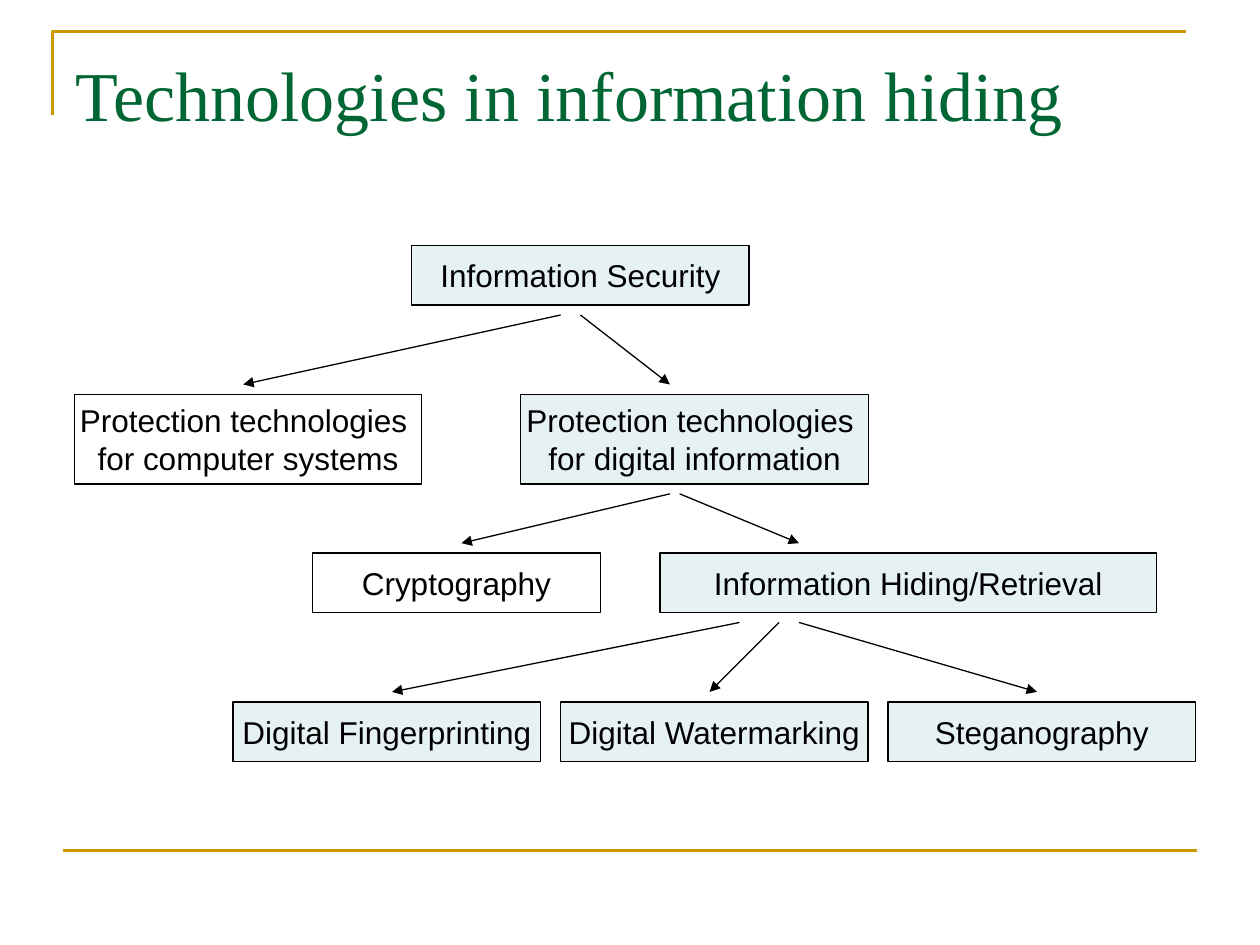
"""Build a slide with a tree of information hiding technologies."""
from dataclasses import dataclass

from lxml.etree import SubElement
from pptx import Presentation
from pptx.dml.color import RGBColor
from pptx.enum.shapes import MSO_CONNECTOR as Connector, MSO_SHAPE as Shape
from pptx.enum.text import MSO_ANCHOR as Anchor, MSO_AUTO_SIZE as AutoSize, PP_ALIGN as Align
from pptx.oxml.ns import qn
from pptx.slide import Slide
from pptx.util import Pt

GOLD = RGBColor(0xCC, 0x99, 0x00)
GREEN = RGBColor(0x00, 0x66, 0x33)
BLACK = RGBColor(0x00, 0x00, 0x00)
PALE_BLUE = RGBColor(0xE5, 0xF1, 0xF3)

ARROW_GAP = 5.7


@dataclass(frozen=True)
class Level:
    top: float
    height: float

    @property
    def bottom(self) -> float:
        return self.top + self.height


@dataclass(frozen=True)
class Topic:
    label: str
    level: int
    left: float
    width: float
    highlighted: bool = True


@dataclass(frozen=True)
class Branch:
    level: int
    start_x: float
    end_x: float


LEVELS = [Level(140.4, 33.9), Level(225.4, 51.1), Level(316.1, 33.9), Level(401.1, 33.9)]

LEAF_LABELS = ["Digital Fingerprinting", "Digital Watermarking", "Steganography"]
LEAF_LEFT, LEAF_WIDTH, LEAF_STEP = 133.2, 175.8, 187.1

TOPICS = [
    Topic("Information Security", 0, 235.3, 192.8),
    Topic("Protection technologies \nfor computer systems", 1, 42.5, 198.6, False),
    Topic("Protection technologies \nfor digital information", 1, 297.6, 198.6),
    Topic("Cryptography", 2, 178.6, 164.4, False),
    Topic("Information Hiding/Retrieval", 2, 377.2, 283.5),
] + [
    Topic(label, 3, LEAF_LEFT + column * LEAF_STEP, LEAF_WIDTH)
    for column, label in enumerate(LEAF_LABELS)
]

BRANCHES = [
    Branch(0, 331.7, 382.8),
    Branch(0, 320.4, 139),
    Branch(1, 382.8, 263.7),
    Branch(1, 388.4, 456.6),
    Branch(2, 422.6, 224),
    Branch(2, 445.2, 405.5),
    Branch(2, 456.6, 592.6),
]


def draw_title(slide: Slide, wording: str) -> None:
    title = slide.shapes.title
    title.left, title.top, title.width, title.height = Pt(36), Pt(21.6), Pt(648), Pt(90)
    frame = title.text_frame
    frame.text = wording
    frame.auto_size = AutoSize.NONE
    frame.vertical_anchor = Anchor.TOP
    frame.margin_top = Pt(8)
    heading = frame.paragraphs[0]
    heading.alignment = Align.LEFT
    heading.font.name = "Times New Roman"
    heading.font.size = Pt(40)
    heading.font.color.rgb = GREEN


def draw_line(slide: Slide, start: tuple[float, float], end: tuple[float, float],
              color: RGBColor, weight: float, arrow: bool = False) -> None:
    line = slide.shapes.add_connector(Connector.STRAIGHT, *map(Pt, start + end))
    line.line.color.rgb = color
    line.line.width = Pt(weight)
    if arrow:
        SubElement(line.line._get_or_add_ln(), qn("a:tailEnd"), type="triangle")
    SubElement(line._element.spPr, qn("a:effectLst"))


def draw_frame(slide: Slide) -> None:
    builder = slide.shapes.build_freeform(Pt(30), Pt(66))
    builder.add_line_segments([(Pt(30), Pt(18)), (Pt(678), Pt(18))], close=False)
    corner = builder.convert_to_shape()
    corner.shadow.inherit = False
    corner.fill.background()
    corner.line.color.rgb = GOLD
    corner.line.width = Pt(1.5)
    draw_line(slide, (36, 486), (684, 486), GOLD, 1.5)


def draw_topic(slide: Slide, topic: Topic) -> None:
    level = LEVELS[topic.level]
    box = slide.shapes.add_shape(Shape.RECTANGLE, Pt(topic.left), Pt(level.top),
                                 Pt(topic.width), Pt(level.height))
    box.shadow.inherit = False
    if topic.highlighted:
        box.fill.solid()
        box.fill.fore_color.rgb = PALE_BLUE
    else:
        box.fill.background()
    box.line.color.rgb = BLACK
    box.line.width = Pt(0.75)
    frame = box.text_frame
    frame.text = topic.label
    frame.word_wrap = False
    frame.vertical_anchor = Anchor.MIDDLE
    for paragraph in frame.paragraphs:
        paragraph.alignment = Align.CENTER
        paragraph.font.name = "Arial"
        paragraph.font.size = Pt(18)
        paragraph.font.color.rgb = BLACK


def draw_branch(slide: Slide, branch: Branch) -> None:
    start_y = LEVELS[branch.level].bottom + ARROW_GAP
    end_y = LEVELS[branch.level + 1].top - ARROW_GAP
    draw_line(slide, (branch.start_x, start_y), (branch.end_x, end_y), BLACK, 0.75, arrow=True)


def main() -> None:
    deck = Presentation()
    deck.slide_width, deck.slide_height = Pt(720), Pt(540)
    slide = deck.slides.add_slide(deck.slide_layouts[5])
    draw_frame(slide)
    draw_title(slide, "Technologies in information hiding")
    for topic in TOPICS:
        draw_topic(slide, topic)
    for branch in BRANCHES:
        draw_branch(slide, branch)
    deck.save("out.pptx")


if __name__ == "__main__":
    main()
